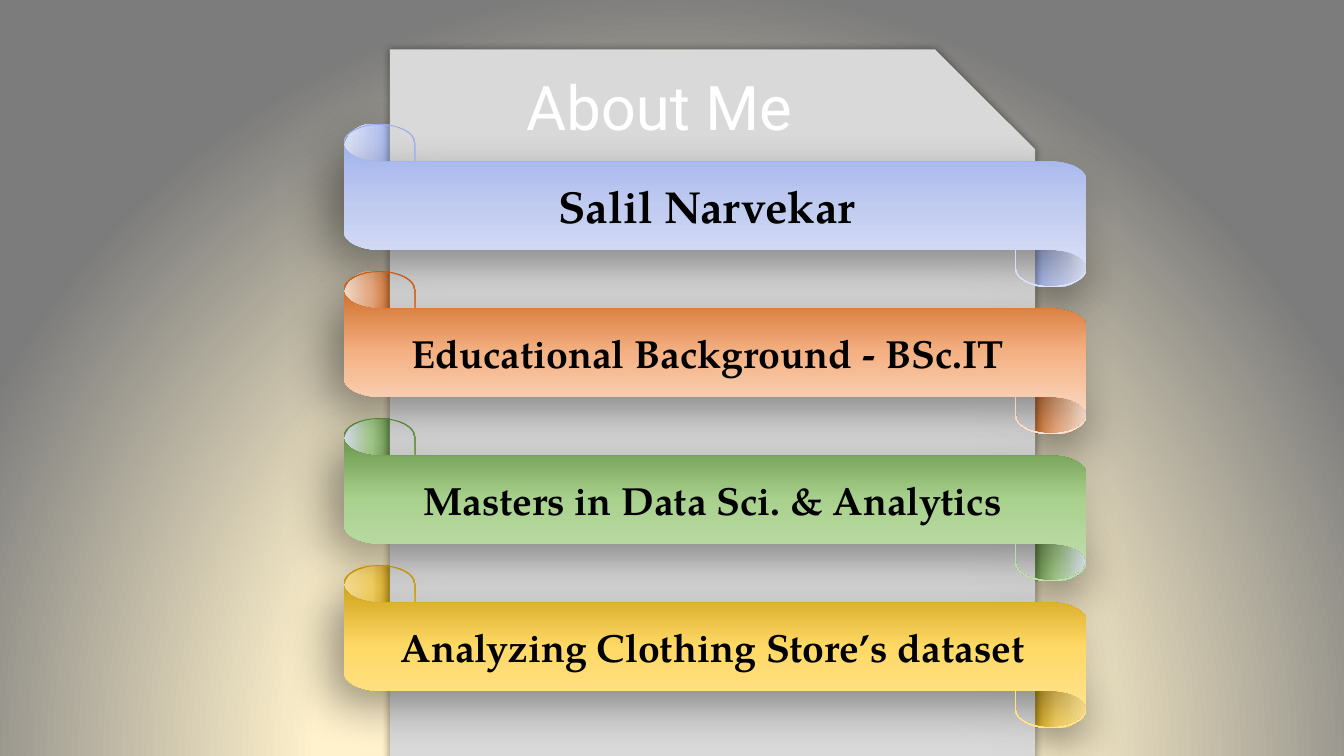
import math
from dataclasses import dataclass

import lxml.etree
import pptx
import pptx.dml.color
import pptx.enum.shapes
import pptx.enum.text
import pptx.oxml
import pptx.oxml.ns
import pptx.util

Pt = pptx.util.Pt
qn = pptx.oxml.ns.qn
SHAPES = pptx.enum.shapes.MSO_SHAPE


@dataclass(frozen=True)
class Theme:
    title_font: str = "Roboto"
    body_font: str = "TeX Gyre Pagella"
    title_size: int = 44
    name_size: int = 32
    body_size: int = 28
    white: str = "FFFFFF"
    black: str = "000000"
    shade: str = "0D0D0D"
    paper: str = "D9D9D9"
    backdrop: tuple = ((0, "FFF2CC"), (46, "FFF2CC"), (100, "7C7C7C"))
    blue: tuple = ((0, "96ABEA"), (50, "C0CBF0"), (100, "E0E5F7"))
    orange: tuple = ((0, "C55A11"), (50, "F4B183"), (100, "FBE5D6"))
    green: tuple = ((0, "548235"), (50, "A9D18E"), (100, "C5E0B4"))
    green_curl: tuple = ((0, "548235"), (50, "A9D18E"), (100, "E0E5F7"))
    gold: tuple = ((0, "BF9000"), (50, "FFD966"), (100, "FFE699"))


THEME = Theme()

# Ribbon geometry in points
LEFT, TOP, STEP = 245.5, 88.6, 105
WIDTH, HEIGHT = 530.6, 116.6
CURL_X, CURL_Y, EDGE = 25.5, 13.4, 0.6

# Text, size, ribbon colours, curl colours
RIBBONS = [
    ("Salil Narvekar ", THEME.name_size, THEME.blue, THEME.blue),
    ("Educational Background - BSc.IT ", THEME.body_size, THEME.orange, THEME.orange),
    ("Masters in Data Sci. & Analytics", THEME.body_size, THEME.green, THEME.green_curl),
    ("Analyzing Clothing Store’s dataset", THEME.body_size, THEME.gold, THEME.gold),
]


def arc(center_x, center_y, radius_x, radius_y, start, stop, steps=16):
    """Points along part of an ellipse; degrees run clockwise from the right."""
    angles = [math.radians(start + (stop - start) * i / steps) for i in range(steps + 1)]
    return [(center_x + radius_x * math.cos(a), center_y + radius_y * math.sin(a))
            for a in angles]


def ribbon_outline():
    """The upper half, then the same half turned by 180 degrees."""
    curl = (CURL_X, CURL_Y)
    half = arc(*curl, CURL_X, CURL_Y, 180, 90)
    half.append((2 * CURL_X - EDGE, 2 * CURL_Y))
    half += arc(*curl, CURL_X - EDGE, CURL_Y - EDGE, 0, -180)
    half += arc(*curl, CURL_X, CURL_Y, -180, 0)
    half.append((2 * CURL_X, 2 * CURL_Y))
    half += arc(WIDTH - CURL_X, 3 * CURL_Y, CURL_X, CURL_Y, -90, 0)
    return half + [(WIDTH - x, HEIGHT - y) for x, y in half]


class SlideBuilder:
    def __init__(self, slide, theme):
        self.slide = slide
        self.theme = theme

    def gradient(self, fill, element, stops, direction):
        fill.background()
        empty = element.find(".//" + qn("a:noFill"))
        colors = "".join(f'<a:gs pos="{position * 1000}"><a:srgbClr val="{color}"/></a:gs>'
                         for position, color in stops)
        empty.getparent().replace(empty, pptx.oxml.parse_xml(
            f'<a:gradFill {pptx.oxml.ns.nsdecls("a")} rotWithShape="1">'
            f"<a:gsLst>{colors}</a:gsLst>{direction}</a:gradFill>"))

    def backdrop(self):
        self.gradient(self.slide.background.fill, self.slide.element, self.theme.backdrop,
                      '<a:path path="circle"><a:fillToRect l="50000" t="130000" '
                      'r="50000" b="-30000"/></a:path>')

    def finish(self, shape, color, blur, distance, angle):
        """Remove the line and give the shape a soft shadow."""
        shape.line.fill.background()
        shape.shadow.inherit = False
        effects = shape.element.spPr.find(qn("a:effectLst"))
        shadow = lxml.etree.SubElement(
            effects, qn("a:outerShdw"), blurRad=str(Pt(blur)), dist=str(Pt(distance)),
            dir=str(angle * 60000), algn="ctr", rotWithShape="0")
        tint = lxml.etree.SubElement(shadow, qn("a:srgbClr"), val=color)
        lxml.etree.SubElement(tint, qn("a:alpha"), val="40000")

    def curl(self, left, top, width, height, stops, rotation=0):
        shape = self.slide.shapes.add_shape(
            SHAPES.FLOWCHART_DELAY, Pt(left), Pt(top), Pt(width), Pt(height))
        shape.rotation = rotation
        self.gradient(shape.fill, shape.element, stops, '<a:lin ang="0" scaled="0"/>')
        self.finish(shape, self.theme.shade, 32, 11, 90)

    def sheet(self, left, top, width, height):
        shape = self.slide.shapes.add_shape(
            SHAPES.SNIP_1_RECTANGLE, Pt(left), Pt(top), Pt(width), Pt(height))
        shape.adjustments[0] = 0.155
        shape.fill.solid()
        shape.fill.fore_color.rgb = pptx.dml.color.RGBColor.from_string(self.theme.paper)
        self.finish(shape, self.theme.black, 5, 0, 0)

    def ribbon(self, left, top, stops):
        points = [(Pt(left + x), Pt(top + y)) for x, y in ribbon_outline()]
        builder = self.slide.shapes.build_freeform(*points[0])
        builder.add_line_segments(points[1:], close=True)
        shape = builder.convert_to_shape()
        self.gradient(shape.fill, shape.element, stops, '<a:lin ang="5400000" scaled="0"/>')
        self.finish(shape, self.theme.shade, 32, 16, 135)

    def set_text(self, shape, text, font, size, color, bold=False):
        frame = shape.text_frame
        frame.word_wrap = True
        frame.auto_size = pptx.enum.text.MSO_AUTO_SIZE.NONE
        frame.vertical_anchor = pptx.enum.text.MSO_ANCHOR.MIDDLE
        paragraph = frame.paragraphs[0]
        paragraph.text = text
        paragraph.alignment = pptx.enum.text.PP_ALIGN.CENTER
        paragraph.line_spacing = 1.0
        paragraph.font.name = font
        paragraph.font.size = Pt(size)
        paragraph.font.bold = bold
        paragraph.font.color.rgb = pptx.dml.color.RGBColor.from_string(color)

    def label(self, left, top, width, height, text, size):
        box = self.slide.shapes.add_textbox(Pt(left), Pt(top), Pt(width), Pt(height))
        self.set_text(box, text, self.theme.body_font, size, self.theme.black, bold=True)

    def title(self, left, top, width, height, text):
        title = self.slide.shapes.title
        title.left, title.top, title.width, title.height = map(Pt, (left, top, width, height))
        self.set_text(title, text, self.theme.title_font, self.theme.title_size,
                      self.theme.white)
        title.element.getparent().append(title.element)  # bring in front of the sheet


def main():
    presentation = pptx.Presentation()
    presentation.slide_width, presentation.slide_height = Pt(960), Pt(540)
    slide = presentation.slides.add_slide(presentation.slide_layouts[5])
    builder = SlideBuilder(slide, THEME)
    builder.backdrop()

    # Curls behind the sheet
    for row, (_, _, _, curl_stops) in enumerate(RIBBONS):
        top = TOP + row * STEP
        builder.curl(LEFT, top, 39.6, 38.9, curl_stops, rotation=180)
        builder.curl(733, top + 81.4, 43.2, 35.3, curl_stops)

    # Sheet and title
    builder.sheet(278.6, 35.3, 460.8, 537)
    builder.title(278.6, 45.4, 384.5, 60.5, "About Me")

    # Ribbons with their labels
    for row, (text, size, stops, _) in enumerate(RIBBONS):
        top = TOP + row * STEP
        builder.ribbon(LEFT, top, stops)
        builder.label(278.6, top + 35.3, 460.8, 46, text, size)

    presentation.save("out.pptx")


if __name__ == "__main__":
    main()
